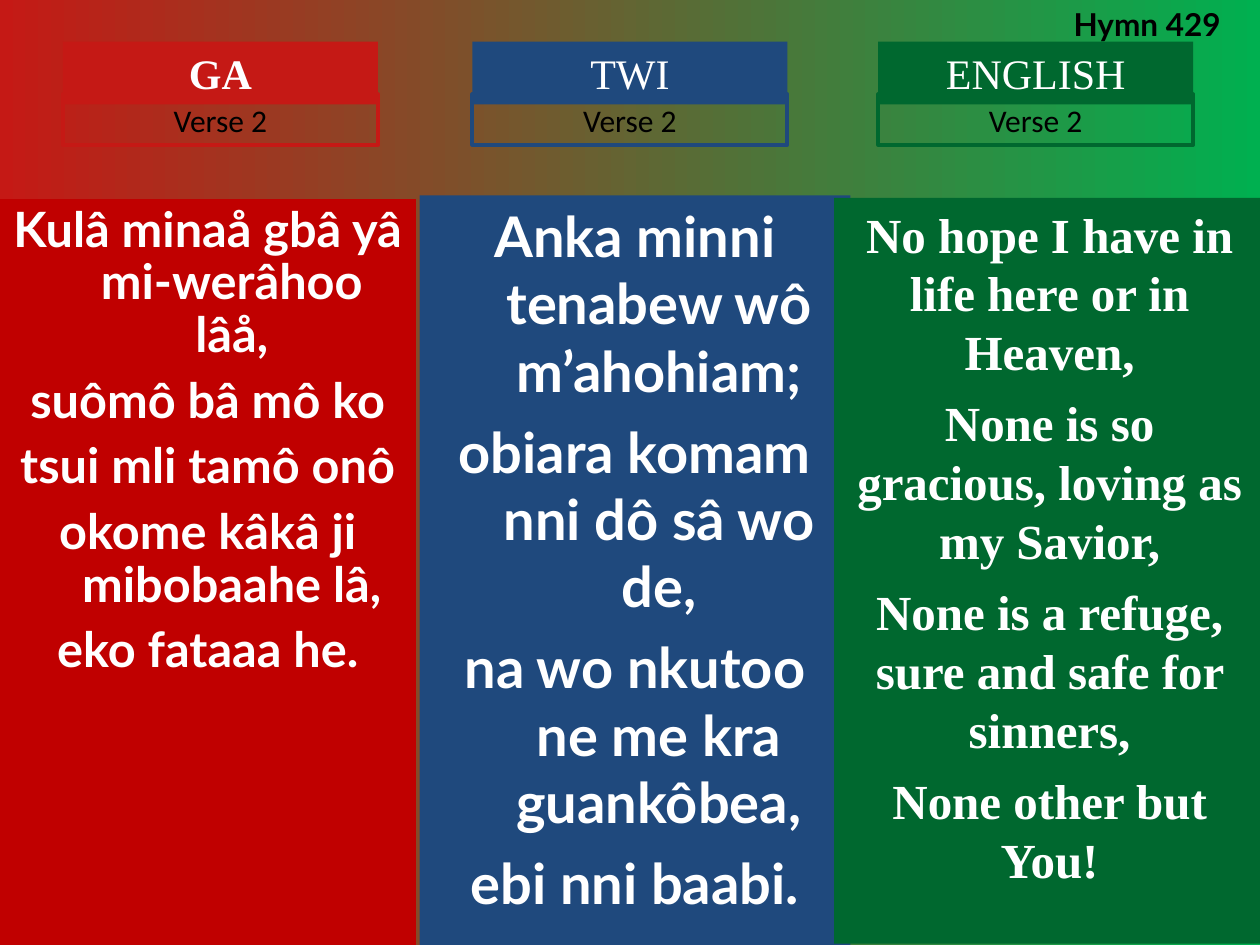
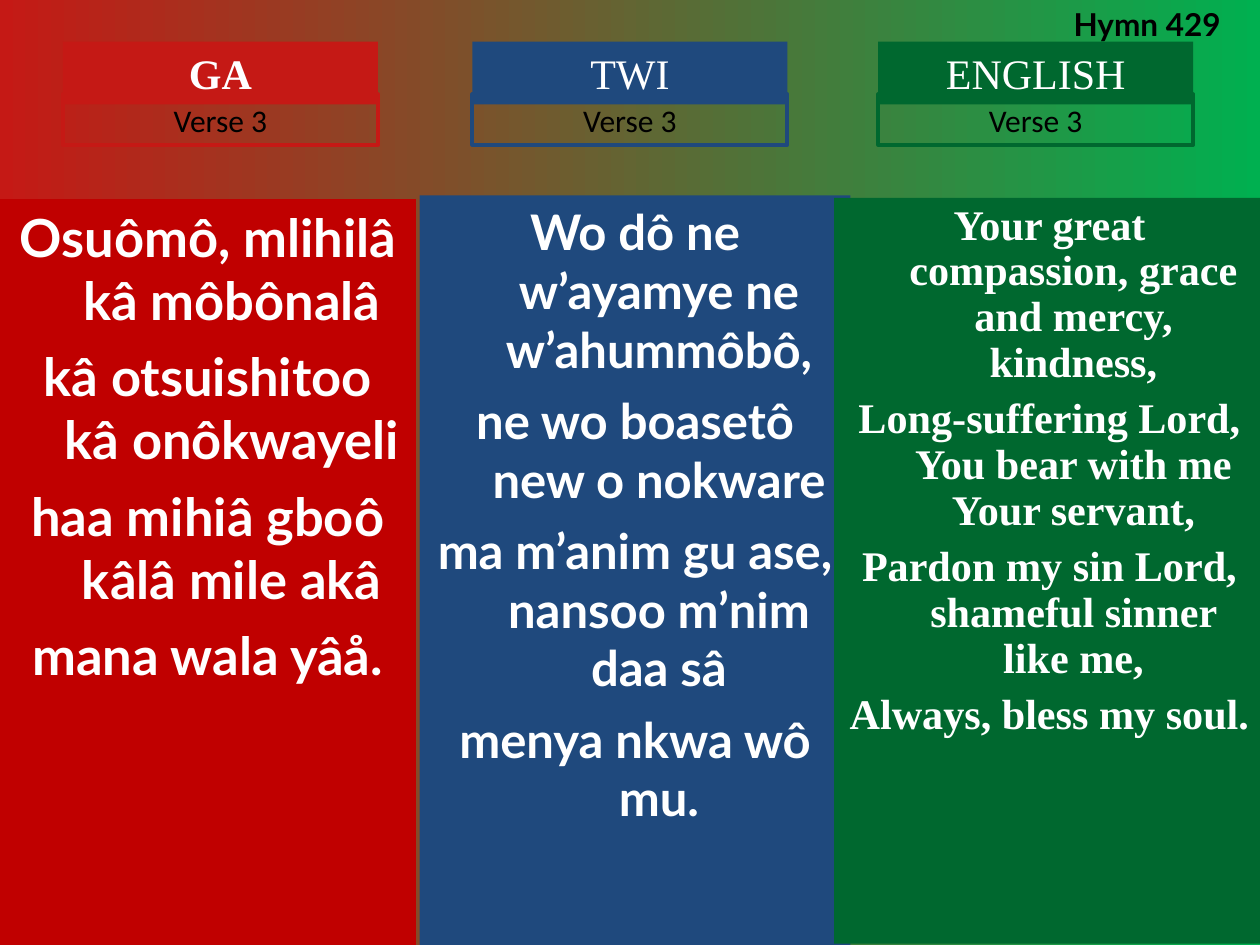
import dataclasses

import pptx
import pptx.dml.color
import pptx.enum.shapes
import pptx.enum.text
import pptx.util
from lxml import etree

Inches, Pt = pptx.util.Inches, pptx.util.Pt
RGB = pptx.dml.color.RGBColor.from_string
ALIGN = pptx.enum.text.PP_ALIGN
DRAWING_NS = "{http://schemas.openxmlformats.org/drawingml/2006/main}"


@dataclasses.dataclass(frozen=True)
class Theme:
    red: str = "C51915"
    deep_red: str = "C00000"
    blue: str = "1F497D"
    green: str = "00682F"
    bright_green: str = "00B050"
    white: str = "FFFFFF"
    black: str = "000000"
    lato: str = "Lato"
    calibri: str = "Calibri"
    times: str = "Times New Roman"
    heading_size: float = 24
    label_size: float = 18
    line_width: float = 2.25
    indent: float = 0.38


THEME = Theme()
HYMN = "Hymn 429"

# heading, bold heading, heading colour, panel colour, verse font, heading left, panel box
LANGUAGES = [
    ("GA", True, THEME.red, THEME.deep_red, THEME.lato, 0.5, (0, 1.58, 3.3, 5.92)),
    ("TWI", False, THEME.blue, THEME.blue, THEME.lato, 3.75, (3.33, 1.55, 3.42, 5.95)),
    ("ENGLISH", False, THEME.green, THEME.green, THEME.times, 6.97, (6.62, 1.57, 3.42, 5.92)),
]

# for each language: size, space before, line spacing, hanging indent, lines
VERSES = {
    "Verse 2": [
        (27.8, 7.5, 0.9, True, [
            "Kulâ minaå gbâ yâ mi-werâhoo lâå,",
            "suômô bâ mô ko",
            "tsui mli tamô onô",
            "okome kâkâ ji mibobaahe lâ,",
            "eko fataaa he.",
        ]),
        (32, 8, 1.0, True, [
            "Anka minni tenabew wô m’ahohiam;",
            "obiara komam nni dô sâ wo de,",
            "na wo nkutoo ne me kra guankôbea,",
            "ebi nni baabi.",
        ]),
        (28, 7, 1.0, False, [
            "No hope I have in life here or in Heaven,",
            "None is so gracious, loving as my Savior,",
            "None is a refuge, sure and safe for sinners,",
            "None other but You!",
        ]),
    ],
    "Verse 3": [
        (30, 7.5, 1.0, True, [
            "Osuômô, mlihilâ kâ môbônalâ",
            "kâ otsuishitoo kâ onôkwayeli",
            "haa mihiâ gboô kâlâ mile akâ",
            "mana wala yâå.",
        ]),
        (28, 7, 1.0, True, [
            "Wo dô ne w’ayamye ne w’ahummôbô,",
            "ne wo boasetô new o nokware",
            "ma m’anim gu ase, nansoo m’nim daa sâ",
            "menya nkwa wô mu.",
        ]),
        (24.1, 6.5, 0.9, True, [
            "Your great compassion, grace and mercy, kindness,",
            "Long-suffering Lord, You bear with me Your servant,",
            "Pardon my sin Lord, shameful sinner like me,",
            "Always, bless my soul.",
        ]),
    ],
}


def place(sp, box):
    sp.left, sp.top, sp.width, sp.height = map(Inches, box)


def add_rect(s, box):
    sp = s.shapes.add_shape(pptx.enum.shapes.MSO_SHAPE.RECTANGLE, *map(Inches, box))
    sp.shadow.inherit = False
    sp.line.fill.background()
    return sp


def fill_solid(sp, color):
    sp.fill.solid()
    sp.fill.fore_color.rgb = RGB(color)


def write(sp, lines, font, size, color, bold=False, align=ALIGN.CENTER,
          before=0, spacing=1.0, hanging=False):
    """Fill a shape with unbulleted paragraphs set from its top edge."""
    tf = sp.text_frame
    tf.word_wrap = True
    tf.auto_size = pptx.enum.text.MSO_AUTO_SIZE.NONE
    tf.vertical_anchor = pptx.enum.text.MSO_ANCHOR.TOP
    indent = Inches(THEME.indent) if hanging else 0
    for i, line in enumerate(lines):
        p = tf.paragraphs[0] if i == 0 else tf.add_paragraph()
        pPr = p._p.get_or_add_pPr()
        pPr.set("marL", str(indent))
        pPr.set("indent", str(-indent))
        etree.SubElement(pPr, DRAWING_NS + "buNone")
        p.alignment = align
        p.line_spacing = spacing
        p.space_before = Pt(before if i else 0)
        r = p.add_run()
        r.text = line
        r.font.name, r.font.size, r.font.bold = font, Pt(size), bold
        r.font.color.rgb = RGB(color)


def paint_background(s):
    fill = s.background.fill
    fill.gradient()
    fill.gradient_angle = 0
    for stop, color in zip(fill.gradient_stops, (THEME.red, THEME.bright_green)):
        stop.color.rgb = RGB(color)
    fill.gradient_stops[0].position, fill.gradient_stops[1].position = 0, 1


def add_verse_slide(prs, verse, texts):
    s = prs.slides.add_slide(prs.slide_layouts.get_by_name("Two Content"))
    paint_background(s)
    place(s.shapes.title, (8.42, -0.01, 1.5, 0.4))
    write(s.shapes.title, [HYMN], THEME.lato, THEME.label_size, THEME.black,
          bold=True, align=ALIGN.LEFT)

    bodies = [ph for ph in s.placeholders if ph.placeholder_format.idx > 0]
    for i, (language, text) in enumerate(zip(LANGUAGES, texts)):
        name, bold, color, panel_color, font, left, box = language
        size, before, spacing, hanging, lines = text

        panel = bodies[i] if i < len(bodies) else add_rect(s, box)
        place(panel, box)
        fill_solid(panel, panel_color)
        write(panel, lines, font, size, THEME.white, bold=True,
              before=before, spacing=spacing, hanging=hanging)

        heading = add_rect(s, (left, 0.33, 2.5, 0.5))
        fill_solid(heading, color)
        write(heading, [name], THEME.times, THEME.heading_size, THEME.white, bold)

        label = add_rect(s, (left, 0.75, 2.5, 0.4))
        label.fill.background()
        label.line.color.rgb = RGB(color)
        label.line.width = Pt(THEME.line_width)
        write(label, [verse], THEME.calibri, THEME.label_size, THEME.black)


def main():
    prs = pptx.Presentation()
    prs.slide_width, prs.slide_height = Inches(10), Inches(7.5)
    for verse, texts in VERSES.items():
        add_verse_slide(prs, verse, texts)
    prs.save("out.pptx")


if __name__ == "__main__":
    main()
